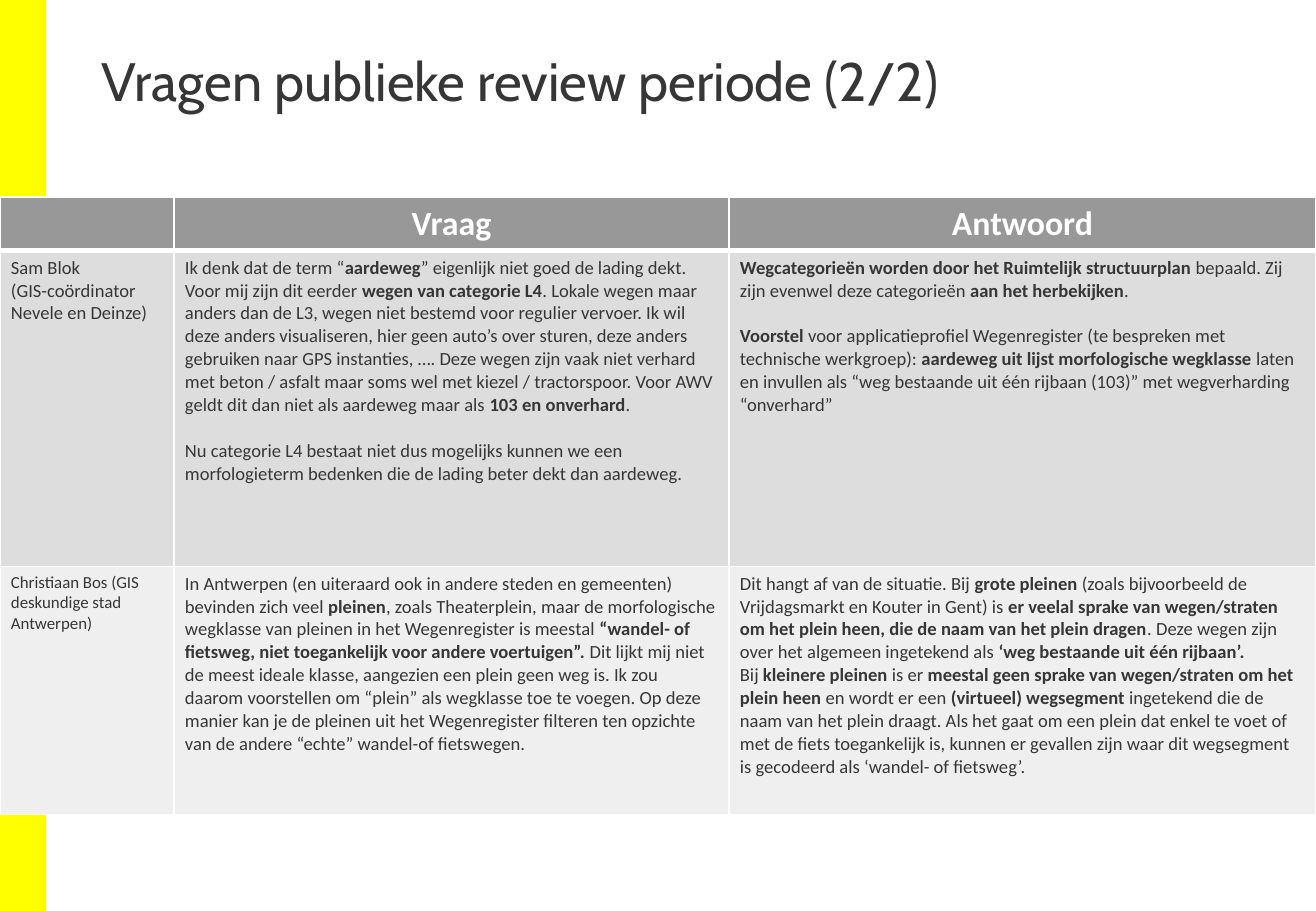
import lxml.etree
import pptx
import pptx.dml.color
import pptx.enum.shapes
import pptx.enum.text
import pptx.oxml.ns
import pptx.util

PX = 914400 / 121.5
COLORS = {
    "band": "FFFF00",
    "header": "989898",
    "odd": "DDDDDD",
    "even": "EFEFEF",
    "white": "FFFFFF",
    "ink": "373636",
}
COLUMN_WIDTHS = [174, 555, 587]
ROW_HEIGHTS = [52, 316, 248]
ROW_FILLS = ["header", "odd", "even"]
BLANK_LINE = 13.4

# Each cell is a list of paragraphs; ** switches bold on and off.
ROWS = [
    [[], ["**Vraag**"], ["**Antwoord**"]],
    [
        ["Sam Blok", "(GIS-coördinator Nevele en Deinze)"],
        [
            "Ik denk dat de term “**aardeweg**” eigenlijk niet goed de lading dekt. "
            "Voor mij zijn dit eerder **wegen van categorie L4**. Lokale wegen maar "
            "anders dan de L3, wegen niet bestemd voor regulier vervoer. Ik wil deze "
            "anders visualiseren, hier geen auto’s over sturen, deze anders gebruiken "
            "naar GPS instanties, …. Deze wegen zijn vaak niet verhard met beton / "
            "asfalt maar soms wel met kiezel / tractorspoor. Voor AWV geldt dit dan "
            "niet als aardeweg maar als **103 en onverhard**.",
            "Nu categorie L4 bestaat niet dus mogelijks kunnen we een morfologieterm "
            "bedenken die de lading beter dekt dan aardeweg.",
        ],
        [
            "**Wegcategorieën worden door het Ruimtelijk structuurplan **bepaald. Zij "
            "zijn evenwel deze categorieën **aan het herbekijken**.",
            "**Voorstel** voor applicatieprofiel Wegenregister (te bespreken met "
            "technische werkgroep): **aardeweg uit lijst morfologische wegklasse "
            "**laten en invullen als “weg bestaande uit één rijbaan (103)” met "
            "wegverharding “onverhard”",
        ],
    ],
    [
        ["Christiaan Bos (GIS deskundige stad Antwerpen)"],
        [
            "In Antwerpen (en uiteraard ook in andere steden en gemeenten) bevinden "
            "zich veel **pleinen**, zoals Theaterplein, maar de morfologische "
            "wegklasse van pleinen in het Wegenregister is meestal** “wandel- of "
            "fietsweg, niet toegankelijk voor andere voertuigen”.** Dit lijkt mij "
            "niet de meest ideale klasse, aangezien een plein geen weg is. Ik zou "
            "daarom voorstellen om “plein” als wegklasse toe te voegen. Op deze "
            "manier kan je de pleinen uit het Wegenregister filteren ten opzichte "
            "van de andere “echte” wandel-of fietswegen.",
        ],
        [
            "Dit hangt af van de situatie. Bij **grote pleinen** (zoals bijvoorbeeld "
            "de Vrijdagsmarkt en Kouter in Gent) is **er veelal sprake van "
            "wegen/straten om het plein heen, die de naam van het plein dragen**. "
            "Deze wegen zijn over het algemeen ingetekend als **‘weg bestaande uit "
            "één rijbaan’.**",
            "Bij **kleinere pleinen** is er **meestal geen sprake van wegen/straten "
            "om het plein heen **en wordt er een **(virtueel) wegsegment **ingetekend "
            "die de naam van het plein draagt. Als het gaat om een plein dat enkel te "
            "voet of met de fiets toegankelijk is, kunnen er gevallen zijn waar dit "
            "wegsegment is gecodeerd als ‘wandel- of fietsweg’.",
        ],
    ],
]


def px(length):
    return pptx.util.Emu(round(length * PX))


def color(name):
    return pptx.dml.color.RGBColor.from_string(COLORS[name])


deck = pptx.Presentation()
deck.slide_width, deck.slide_height = px(1316), px(911)
page = deck.slides.add_slide(deck.slide_layouts[6])

band = page.shapes.add_shape(
    pptx.enum.shapes.MSO_SHAPE.RECTANGLE, 0, 0, px(46), px(911))
band.shadow.inherit = False
band.fill.solid()
band.fill.fore_color.rgb = color("band")
band.line.fill.background()

table = page.shapes.add_table(
    3, 3, 0, px(197), px(sum(COLUMN_WIDTHS)), px(sum(ROW_HEIGHTS))).table
for column, width in zip(table.columns, COLUMN_WIDTHS):
    column.width = px(width)

for r, (row, height) in enumerate(zip(table.rows, ROW_HEIGHTS)):
    row.height = px(height)
    for c, cell in enumerate(row.cells):
        # Borders precede the fill in the cell properties.
        properties = cell._tc.get_or_add_tcPr()
        for side in ("lnL", "lnR", "lnT", "lnB"):
            thick = (r, side) in ((0, "lnB"), (1, "lnT"))
            border = lxml.etree.SubElement(
                properties, pptx.oxml.ns.qn(f"a:{side}"),
                w=str(pptx.util.Pt(3 if thick else 1)))
            paint = lxml.etree.SubElement(border, pptx.oxml.ns.qn("a:solidFill"))
            lxml.etree.SubElement(
                paint, pptx.oxml.ns.qn("a:srgbClr"), val=COLORS["white"])
        cell.fill.solid()
        cell.fill.fore_color.rgb = color(ROW_FILLS[r])
        cell.margin_left = cell.margin_right = px(11)
        cell.margin_top = cell.margin_bottom = px(6)

        size = 20 if r == 0 else 10 if (r, c) == (2, 0) else 11
        for i, text in enumerate(ROWS[r][c]):
            frame = cell.text_frame
            para = frame.add_paragraph() if i else frame.paragraphs[0]
            if r == 0:
                para.alignment = pptx.enum.text.PP_ALIGN.CENTER
            if i and r == 1 and c > 0:
                para.space_before = pptx.util.Pt(BLANK_LINE)
            for k, part in enumerate(text.split("**")):
                if part:
                    span = para.add_run()
                    span.text = part
                    span.font.name = "Calibri"
                    span.font.size = pptx.util.Pt(size)
                    span.font.bold = k % 2 == 1
                    span.font.color.rgb = color("ink" if r else "white")

title = page.shapes.add_textbox(px(90), px(49), px(1135), px(131))
title.text_frame.word_wrap = True
title.text_frame.text = "Vragen publieke review periode (2/2)"
para = title.text_frame.paragraphs[0]
para.line_spacing = 0.9
span = para.runs[0]
span.font.name = "Cabin"
span.font.size = pptx.util.Pt(32)
span.font.color.rgb = color("ink")

deck.save("out.pptx")
